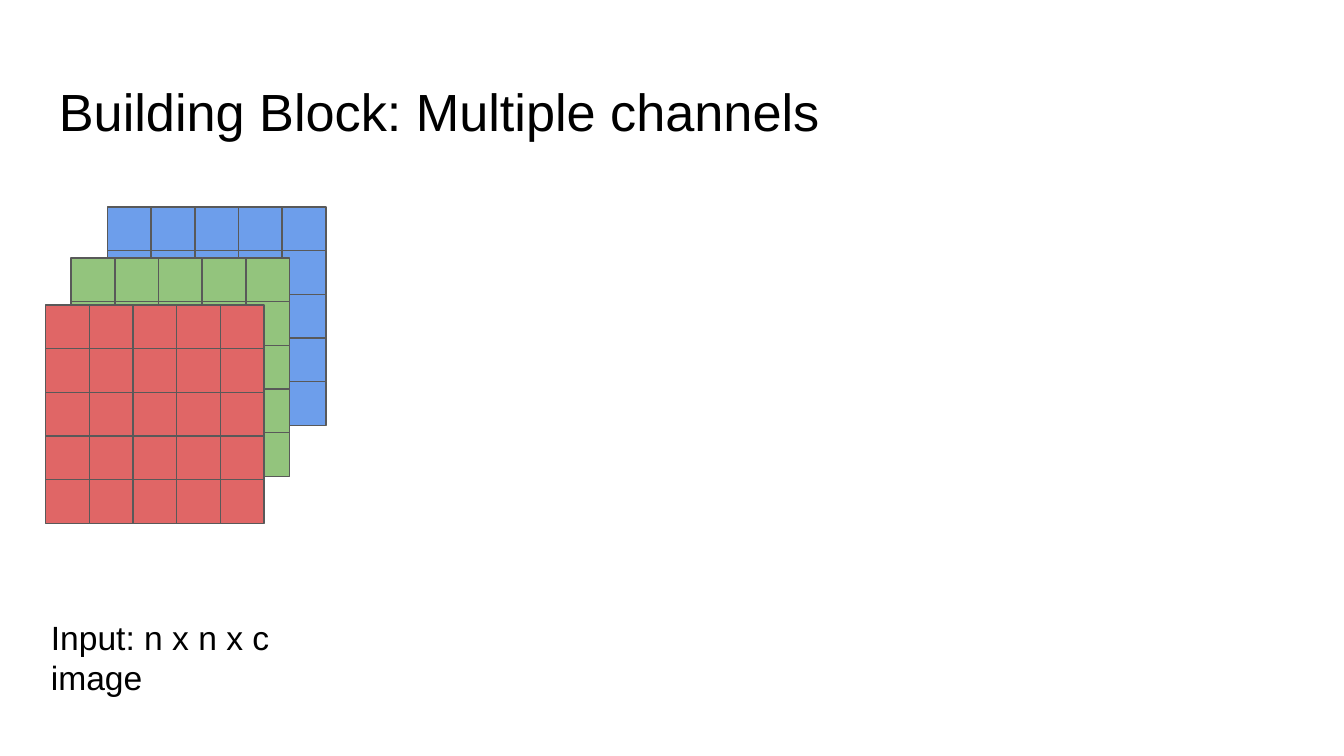
from itertools import product

from pptx import Presentation
from pptx.dml.color import RGBColor
from pptx.enum.shapes import MSO_SHAPE as Shape
from pptx.util import Inches, Pt

BLUE = RGBColor(0x6D, 0x9E, 0xEB)
GREEN = RGBColor(0x93, 0xC4, 0x7D)
RED = RGBColor(0xE0, 0x66, 0x66)
GRAY = RGBColor(0x59, 0x59, 0x59)
BLACK = RGBColor(0, 0, 0)

SLIDE_WIDTH = 10
SLIDE_HEIGHT = SLIDE_WIDTH * 9 / 16
GRID_SIZE = 5
CELL = 1.3 / 4


def add_channel(slide, left, top, color):
    """Add one image channel as a grouped square grid of cells."""
    group = slide.shapes.add_group_shape()
    for row, column in product(range(GRID_SIZE), repeat=2):
        cell = group.shapes.add_shape(
            Shape.RECTANGLE,
            Inches(left + column * CELL),
            Inches(top + row * CELL),
            Inches(CELL),
            Inches(CELL),
        )
        cell.shadow.inherit = False
        cell.fill.solid()
        cell.fill.fore_color.rgb = color
        cell.line.color.rgb = GRAY
        cell.line.width = Pt(0.75)


def add_text(slide, text, *, left, top, width, height, size):
    """Add a wrapping text box with one black paragraph."""
    box = slide.shapes.add_textbox(
        Inches(left), Inches(top), Inches(width), Inches(height)
    )
    frame = box.text_frame
    frame.word_wrap = True
    frame.margin_left = frame.margin_right = Inches(0.1)
    frame.margin_top = frame.margin_bottom = Inches(0.1)
    run = frame.paragraphs[0].add_run()
    run.text = text
    run.font.name = "Arial"
    run.font.size = Pt(size)
    run.font.color.rgb = BLACK


def main():
    """Build and save the slide."""
    presentation = Presentation()
    presentation.slide_width = Inches(SLIDE_WIDTH)
    presentation.slide_height = Inches(SLIDE_HEIGHT)
    slide = presentation.slides.add_slide(presentation.slide_layouts[6])

    add_channel(slide, 0.8, 1.54, BLUE)
    add_channel(slide, 0.53, 1.92, GREEN)
    add_text(slide, "Building Block: Multiple channels",
             left=0.34, top=0.49, width=9.32, height=0.63, size=28)
    add_text(slide, "Input: n x n x c image",
             left=0.28, top=4.49, width=2.15, height=0.73, size=18)
    add_channel(slide, 0.34, 2.27, RED)

    presentation.save("out.pptx")


if __name__ == "__main__":
    main()
